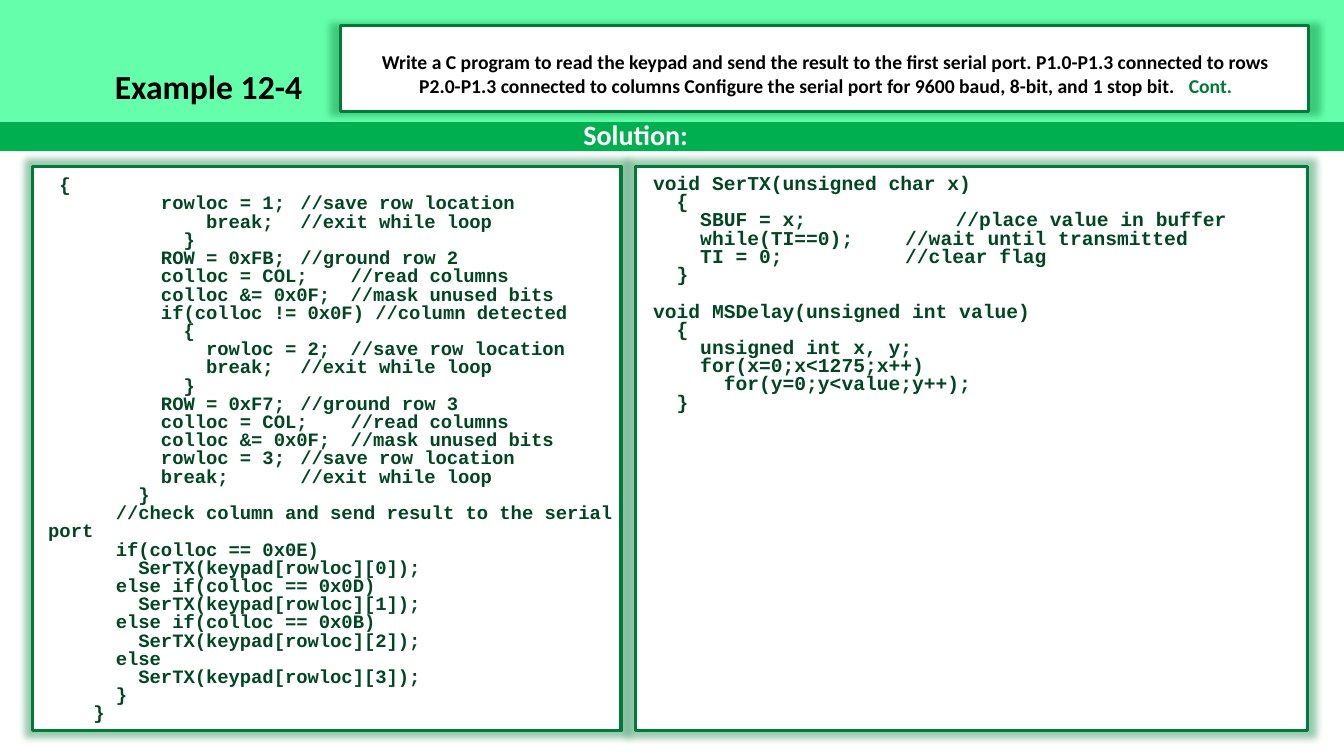
from lxml import etree
from pptx import Presentation
from pptx.dml.color import RGBColor
from pptx.enum.text import MSO_AUTO_SIZE, PP_ALIGN
from pptx.oxml.ns import qn
from pptx.util import Emu, Pt

GROW = MSO_AUTO_SIZE.SHAPE_TO_FIT_TEXT
CENTER, LEFT = PP_ALIGN.CENTER, PP_ALIGN.LEFT
RECTANGLE = 1
PX = 9144
SLIDE_W, SLIDE_H = 1333, 750
COLORS = {
    "white": "FFFFFF",
    "black": "000000",
    "header": "65FFAB",
    "band": "00B050",
    "frame": "007A37",
    "code": "004620",
}

SCAN_CODE = """ {
          rowloc = 1;\t//save row location
              break;\t//exit while loop
            }
          ROW = 0xFB;\t//ground row 2
          colloc = COL;\t//read columns
          colloc &= 0x0F;\t//mask unused bits
          if(colloc != 0x0F) //column detected
            {
              rowloc = 2;\t//save row location
              break;\t//exit while loop
            }
          ROW = 0xF7;\t//ground row 3
          colloc = COL;\t//read columns
          colloc &= 0x0F;\t//mask unused bits
          rowloc = 3;\t//save row location
          break;\t\t//exit while loop
        }"""

SEND_CODE = """      //check column and send result to the serial port
      if(colloc == 0x0E)
        SerTX(keypad[rowloc][0]);
      else if(colloc == 0x0D)
        SerTX(keypad[rowloc][1]);
      else if(colloc == 0x0B)
        SerTX(keypad[rowloc][2]);
      else
        SerTX(keypad[rowloc][3]);
      }
    }"""

SERIAL_CODE = """void SerTX(unsigned char x)
  {
    SBUF = x;\t\t\t//place value in buffer
    while(TI==0);\t\t//wait until transmitted
    TI = 0;\t\t\t//clear flag
  }"""

DELAY_CODE = """void MSDelay(unsigned int value)
  {
    unsigned int x, y;
    for(x=0;x<1275;x++)
      for(y=0;y<value;y++);
  }"""

PROBLEM = [
    "Write a C program to read the keypad and send the result to the first "
    "serial port. P1.0-P1.3 connected to rows",
    "P2.0-P1.3 connected to columns Configure the serial port for 9600 baud, "
    "8-bit, and 1 stop bit.",
]


def rgb(name):
    return RGBColor.from_string(COLORS[name])


def emu(*lengths):
    return [Emu(length * PX) for length in lengths]


def add_band(slide, box, color):
    band = slide.shapes.add_shape(RECTANGLE, *emu(*box))
    band.shadow.inherit = False
    band.fill.solid()
    band.fill.fore_color.rgb = rgb(color)
    band.line.fill.background()
    return band


def add_frame(slide, box):
    frame = add_band(slide, box, "white")
    frame.line.color.rgb = rgb("frame")
    frame.line.width = Pt(2.25)
    effects = frame._element.spPr.find(qn("a:effectLst"))
    glow = etree.SubElement(effects, qn("a:outerShdw"), blurRad="63500",
                            sx="102000", sy="102000", algn="ctr", rotWithShape="0")
    tint = etree.SubElement(glow, qn("a:srgbClr"), val=COLORS["frame"])
    etree.SubElement(tint, qn("a:alpha"), val="40000")


def style_run(run, size, color, font):
    run.font.size = Pt(size)
    run.font.name = font
    run.font.bold = True
    run.font.color.rgb = rgb(color)


def add_lines(slide, box, lines, size, color, font="Calibri", align=LEFT, spacing=None):
    text_frame = slide.shapes.add_textbox(*emu(*box)).text_frame
    text_frame.word_wrap = True
    text_frame.auto_size = GROW
    text_frame.text = "\n".join(lines)
    for paragraph in text_frame.paragraphs:
        paragraph.alignment = align
        if spacing:
            paragraph.line_spacing = Pt(spacing)
        for run in paragraph.runs:
            style_run(run, size, color, font)
    return text_frame.paragraphs


def add_header(slide, box):
    left, top, width, height = box
    add_band(slide, box, "band")
    add_band(slide, (left, top, width, height - 29), "header")
    add_lines(slide, (left + 104, top + 60, 1126, 50), ["Example 12-4"], 24, "black")
    add_lines(slide, (left - 36, top + 117, width, 40), ["Solution:"], 20, "white",
              align=CENTER, spacing=20)


def add_problem(slide, box):
    left, top, width, height = box
    add_frame(slide, box)
    statement = add_lines(slide, (left + 28, top + 20, width - 54, height - 29),
                          PROBLEM, 14, "black", align=CENTER)
    gap = statement[-1].add_run()
    gap.text = " "
    style_run(gap, 14, "black", "Calibri")
    gap._r.get_or_add_rPr().set("spc", "630")
    continued = statement[-1].add_run()
    continued.text = "Cont."
    style_run(continued, 14, "frame", "Calibri")


def add_code_panel(slide, box, inset, code_size, blocks, size, block_gap=0):
    left, top, width, height = box
    add_frame(slide, box)
    block_lines = [block.split("\n") for block in blocks]
    code = add_lines(slide, (left + inset[0], top + inset[1], *code_size),
                     sum(block_lines, []), size, "code", "Courier New", spacing=13)
    start = 0
    for lines in block_lines[:-1]:
        start += len(lines)
        code[start].space_before = Pt(block_gap)


def main():
    presentation = Presentation()
    presentation.slide_width, presentation.slide_height = emu(SLIDE_W, SLIDE_H)
    slide = presentation.slides.add_slide(presentation.slide_layouts[6])
    add_header(slide, (0, 0, SLIDE_W, 150))
    add_problem(slide, (338, 25, 960, 86))
    add_code_panel(slide, (32, 165, 584, 560), (6, 6), (584, 576),
                   [SCAN_CODE, SEND_CODE], 13.5)
    add_code_panel(slide, (630, 165, 667, 560), (8, 5), (650, 266),
                   [SERIAL_CODE, DELAY_CODE], 14, block_gap=13)
    presentation.save("out.pptx")


if __name__ == "__main__":
    main()
